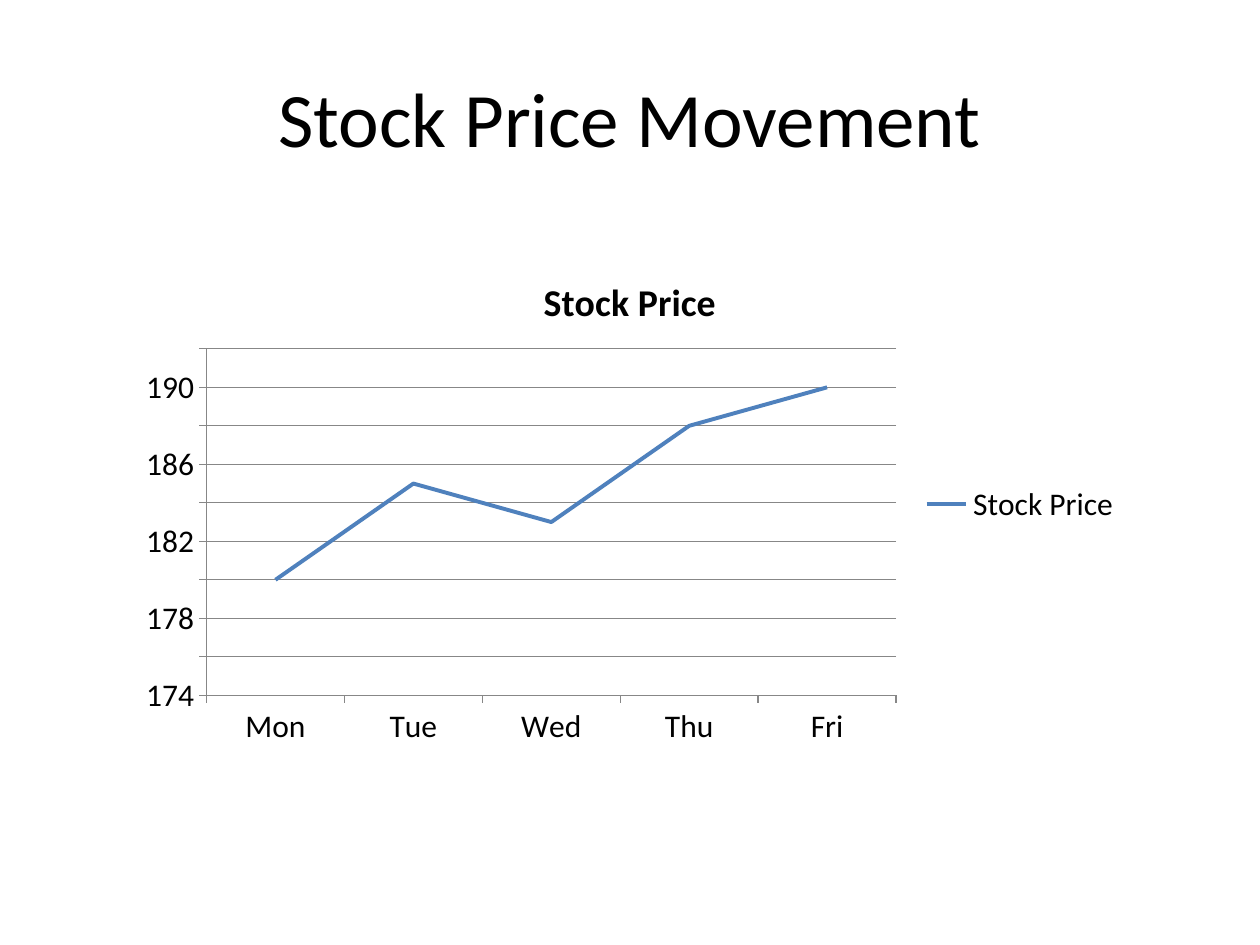
"""Build a slide with a line chart of a week's stock prices."""
from pptx import Presentation
from pptx.chart.data import CategoryChartData
from pptx.dml.color import RGBColor
from pptx.enum.chart import XL_CHART_TYPE, XL_LEGEND_POSITION, XL_TICK_MARK
from pptx.enum.text import MSO_ANCHOR, PP_ALIGN
from pptx.util import Inches, Pt


def style_font(font, size, bold=False):
    font.name = "Calibri"
    font.size = Pt(size)
    font.bold = bold
    font.color.rgb = RGBColor.from_string("000000")


def style_line(line, color, width):
    line.color.rgb = RGBColor.from_string(color)
    line.width = Pt(width)


presentation = Presentation()
presentation.slide_width = Inches(10)
presentation.slide_height = Inches(7.5)
slide = presentation.slides.add_slide(presentation.slide_layouts[6])

title = slide.shapes.add_textbox(Inches(0.5), Inches(0.3), Inches(9), Inches(1.25))
title.text_frame.word_wrap = True
title.text_frame.vertical_anchor = MSO_ANCHOR.MIDDLE
title.text_frame.text = "Stock Price Movement"
paragraph = title.text_frame.paragraphs[0]
paragraph.alignment = PP_ALIGN.CENTER
style_font(paragraph.runs[0].font, 44)

chart_data = CategoryChartData()
chart_data.categories = ["Mon", "Tue", "Wed", "Thu", "Fri"]
chart_data.add_series("Stock Price", [180, 185, 183, 188, 190])
chart = slide.shapes.add_chart(
    XL_CHART_TYPE.LINE, Inches(1), Inches(2), Inches(8), Inches(4), chart_data
).chart
style_font(chart.font, 18)

chart.has_title = True
chart.chart_title.include_in_layout = False
chart.chart_title.text_frame.text = "Stock Price"
style_font(chart.chart_title.text_frame.paragraphs[0].runs[0].font, 21.6, bold=True)

chart.has_legend = True
chart.legend.position = XL_LEGEND_POSITION.RIGHT
chart.legend.include_in_layout = False

for axis in (chart.category_axis, chart.value_axis):
    axis.major_tick_mark = XL_TICK_MARK.OUTSIDE
    style_line(axis.format.line, "878787", 0.75)
chart.value_axis.has_major_gridlines = True
style_line(chart.value_axis.major_gridlines.format.line, "878787", 0.75)

plot = chart.plots[0]
plot.vary_by_categories = False
price_series = plot.series[0]
price_series.smooth = False
style_line(price_series.format.line, "4F81BD", 2.25)

presentation.save("out.pptx")
